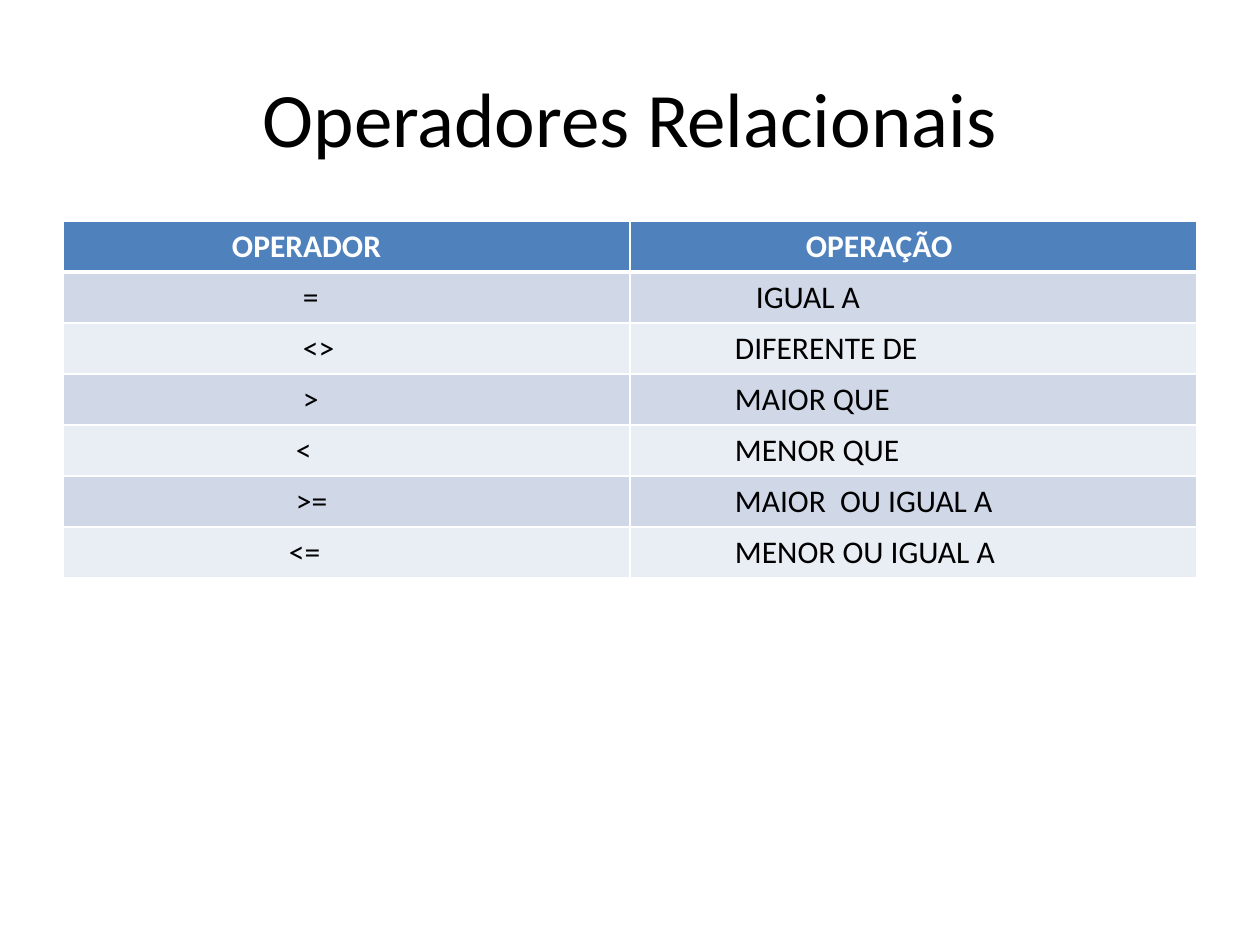
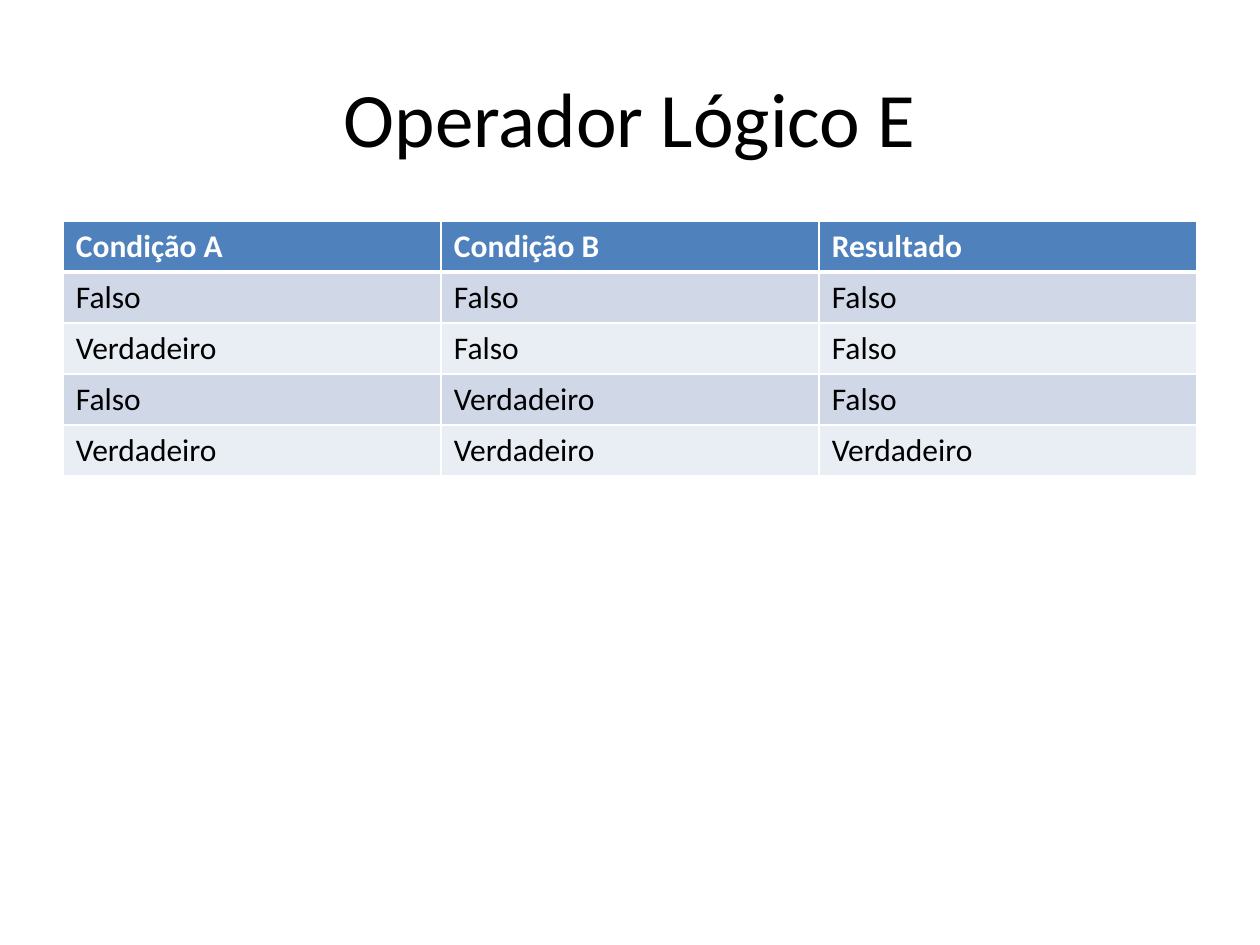
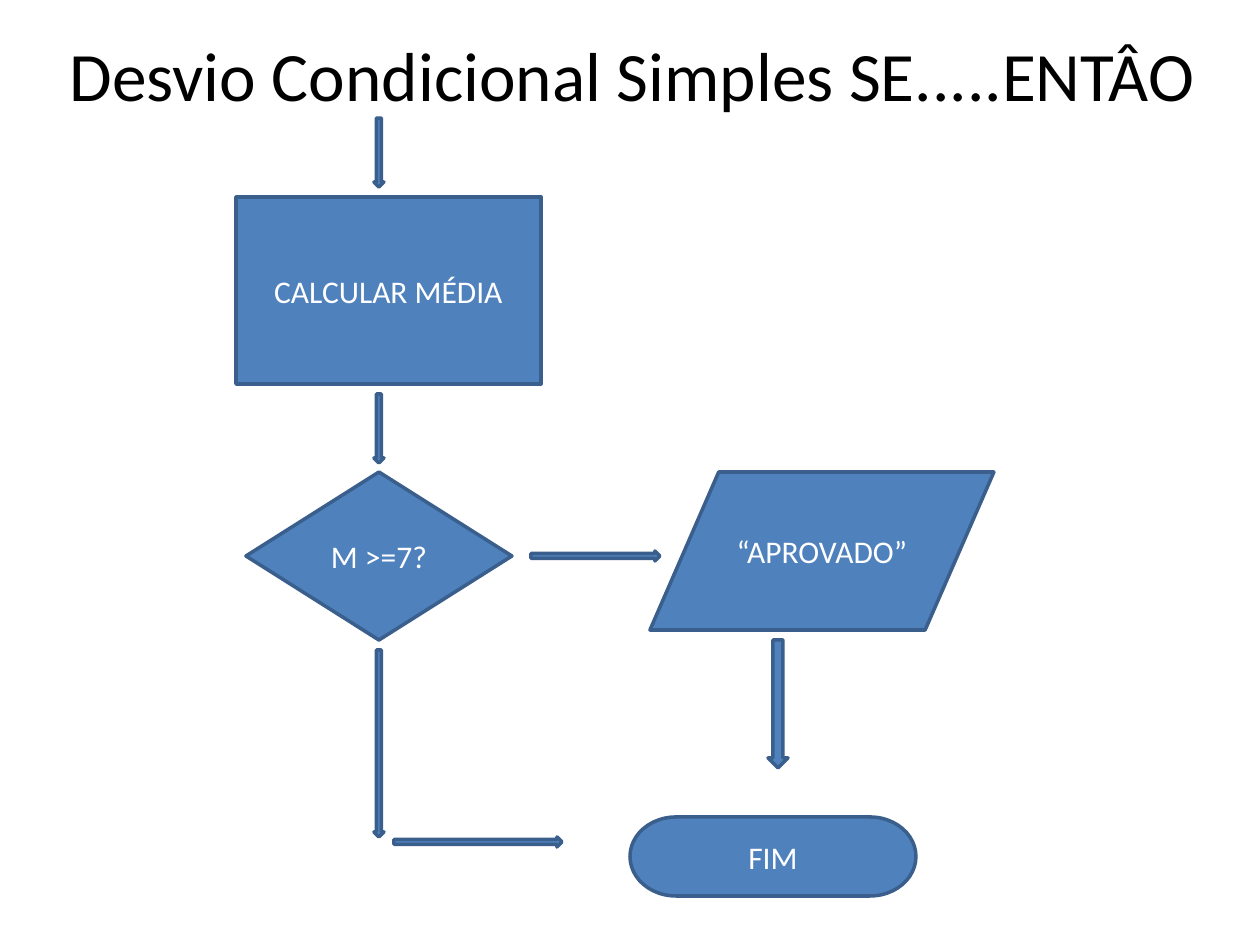
"""Builds three slides on relational operators, logical AND and a simple branch."""
from lxml.etree import SubElement
from pptx import Presentation
from pptx.dml.color import RGBColor
from pptx.enum.shapes import MSO_SHAPE
from pptx.enum.text import MSO_ANCHOR, PP_ALIGN
from pptx.oxml.ns import qn
from pptx.util import Pt

PX = 914400 // 126
FONT = "Calibri"
HEX = {"blue": "4F81BD", "edge": "3A5F8C", "dark": "D0D8E8",
       "pale": "E9EDF4", "white": "FFFFFF", "black": "000000"}
PAD, TOP, LEFT, WIDTH, ROW = 13, 221, 63, 1134, 51

SIGNS = [
    (("OPERADOR", 169), ("OPERAÇÃO", 176)),
    (("=", 240), ("IGUAL A", 126)),
    (("<>", 240), ("DIFERENTE DE", 105)),
    ((">", 240), ("MAIOR QUE", 105)),
    (("<", 233), ("MENOR QUE", 105)),
    ((">=", 233), ("MAIOR  OU IGUAL A", 105)),
    (("<=", 226), ("MENOR OU IGUAL A", 105)),
]
TRUTH = [
    ("Condição A", "Condição B", "Resultado"),
    ("Falso", "Falso", "Falso"),
    ("Verdadeiro", "Falso", "Falso"),
    ("Falso", "Verdadeiro", "Falso"),
    ("Verdadeiro", "Verdadeiro", "Verdadeiro"),
]
GRIDS = [
    ("Operadores Relacionais", SIGNS),
    ("Operador Lógico E", [[(word, PAD) for word in row] for row in TRUTH]),
]
DOWN, RIGHT = MSO_SHAPE.DOWN_ARROW, MSO_SHAPE.RIGHT_ARROW
FLOW = [
    (DOWN, (374, 118, 10, 69), ""),
    (MSO_SHAPE.FLOWCHART_PROCESS, (236, 197, 305, 187), "CALCULAR MÉDIA"),
    (DOWN, (374, 394, 10, 69), ""),
    (MSO_SHAPE.FLOWCHART_DECISION, (246, 472, 266, 168), "M >=7?"),
    (MSO_SHAPE.FLOWCHART_DATA, (650, 472, 344, 158), "“APROVADO”"),
    (DOWN, (374, 650, 10, 187), ""),
    (DOWN, (768, 640, 20, 128), ""),
    (MSO_SHAPE.FLOWCHART_TERMINATOR, (630, 817, 286, 79), "FIM"),
    (RIGHT, (394, 837, 168, 10), ""),
    (RIGHT, (531, 551, 129, 10), ""),
]


def color(name):
    return RGBColor.from_string(HEX[name])


def scale(box):
    return [side * PX for side in box]


def write(frame, words, size=18, ink="white", bold=False,
          align=PP_ALIGN.CENTER, anchor=MSO_ANCHOR.MIDDLE):
    frame.word_wrap = True
    if anchor is not None:
        frame.vertical_anchor = anchor
    para = frame.paragraphs[0]
    para.alignment = align
    run = para.add_run()
    run.text = words
    run.font.name, run.font.size, run.font.bold = FONT, Pt(size), bold
    run.font.color.rgb = color(ink)


def title(slide, words, box=(63, 38, 1134, 157), size=44, foot=None):
    frame = slide.shapes.add_textbox(*scale(box)).text_frame
    if foot is not None:
        frame.margin_top, frame.margin_bottom = 0, foot * PX
    write(frame, words, size=size, ink="black")


def border(cell, **widths):
    props = cell._tc.get_or_add_tcPr()
    for side in "LRTB":
        line = SubElement(props, qn("a:ln" + side), w=str(Pt(widths.get(side, 1))))
        fill = SubElement(line, qn("a:solidFill"))
        SubElement(fill, qn("a:srgbClr"), val=HEX["white"])


def grid(slide, rows):
    count = len(rows[0])
    box = scale((LEFT, TOP, WIDTH, ROW * len(rows)))
    table = slide.shapes.add_table(len(rows), count, *box).table
    for col in table.columns:
        col.width = WIDTH * PX // count
    for at, row in enumerate(rows):
        table.rows[at].height = ROW * PX
        head = at == 0
        for spot, (words, indent) in enumerate(row):
            cell = table.cell(at, spot)
            border(cell, B=3 if head else 1, T=3 if at == 1 else 1)
            cell.fill.solid()
            shade = "blue" if head else "dark" if at % 2 else "pale"
            cell.fill.fore_color.rgb = color(shade)
            cell.margin_left = indent * PX
            write(cell.text_frame, words, ink="white" if head else "black",
                  bold=head, align=PP_ALIGN.LEFT, anchor=None)


def flow(slide, parts):
    for kind, box, words in parts:
        shape = slide.shapes.add_shape(kind, *scale(box))
        shape.shadow.inherit = False
        shape.fill.solid()
        shape.fill.fore_color.rgb = color("blue")
        shape.line.color.rgb = color("edge")
        shape.line.width = Pt(2)
        if words:
            write(shape.text_frame, words)


deck = Presentation()
deck.slide_width, deck.slide_height = scale((1260, 945))
blank = deck.slide_layouts[6]
for name, rows in GRIDS:
    page = deck.slides.add_slide(blank)
    title(page, name)
    grid(page, rows)
page = deck.slides.add_slide(blank)
title(page, "Desvio Condicional Simples SE.....ENTÂO",
      box=(34, 38, 1197, 157), size=39.6, foot=85)
flow(page, FLOW)
deck.save("out.pptx")
